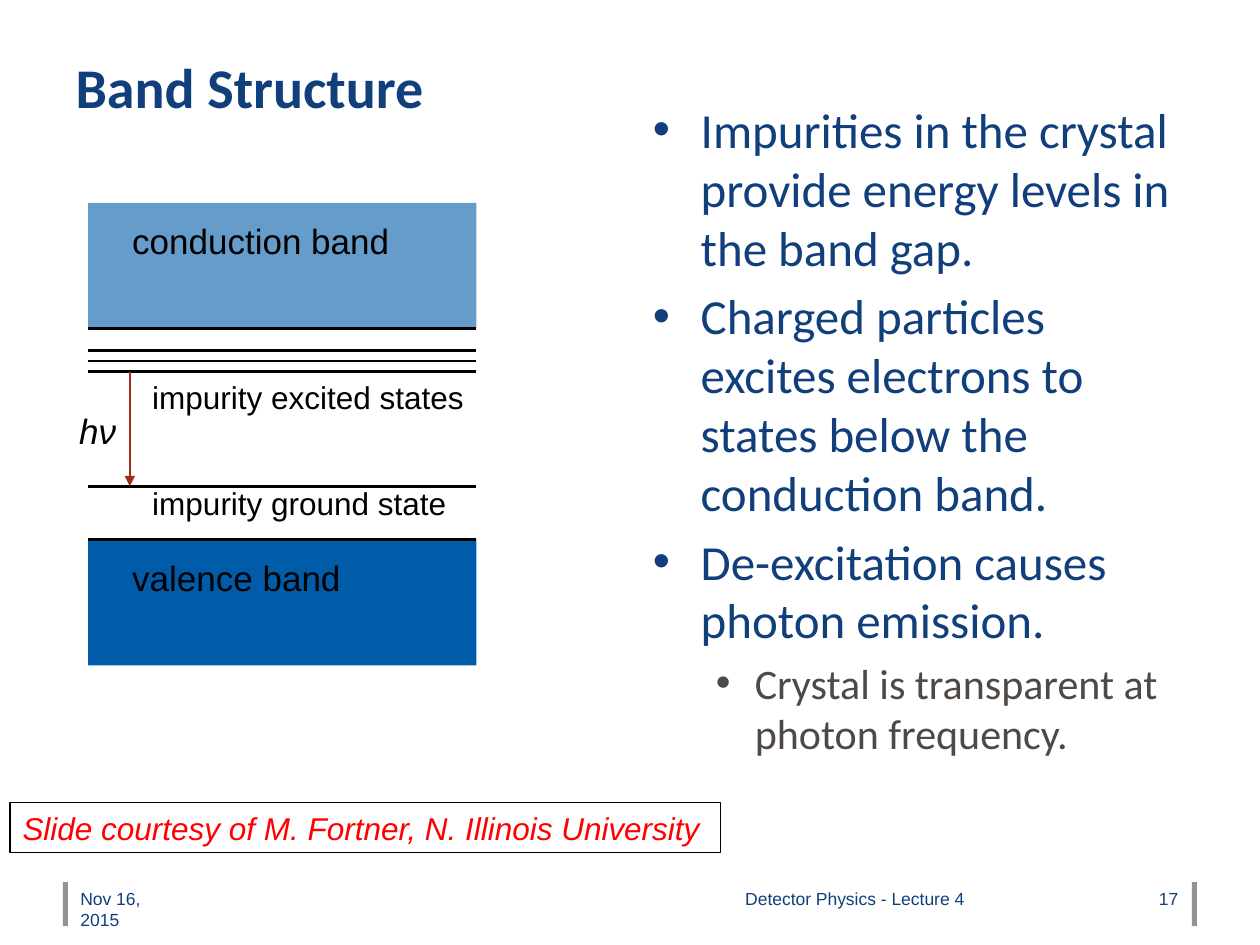
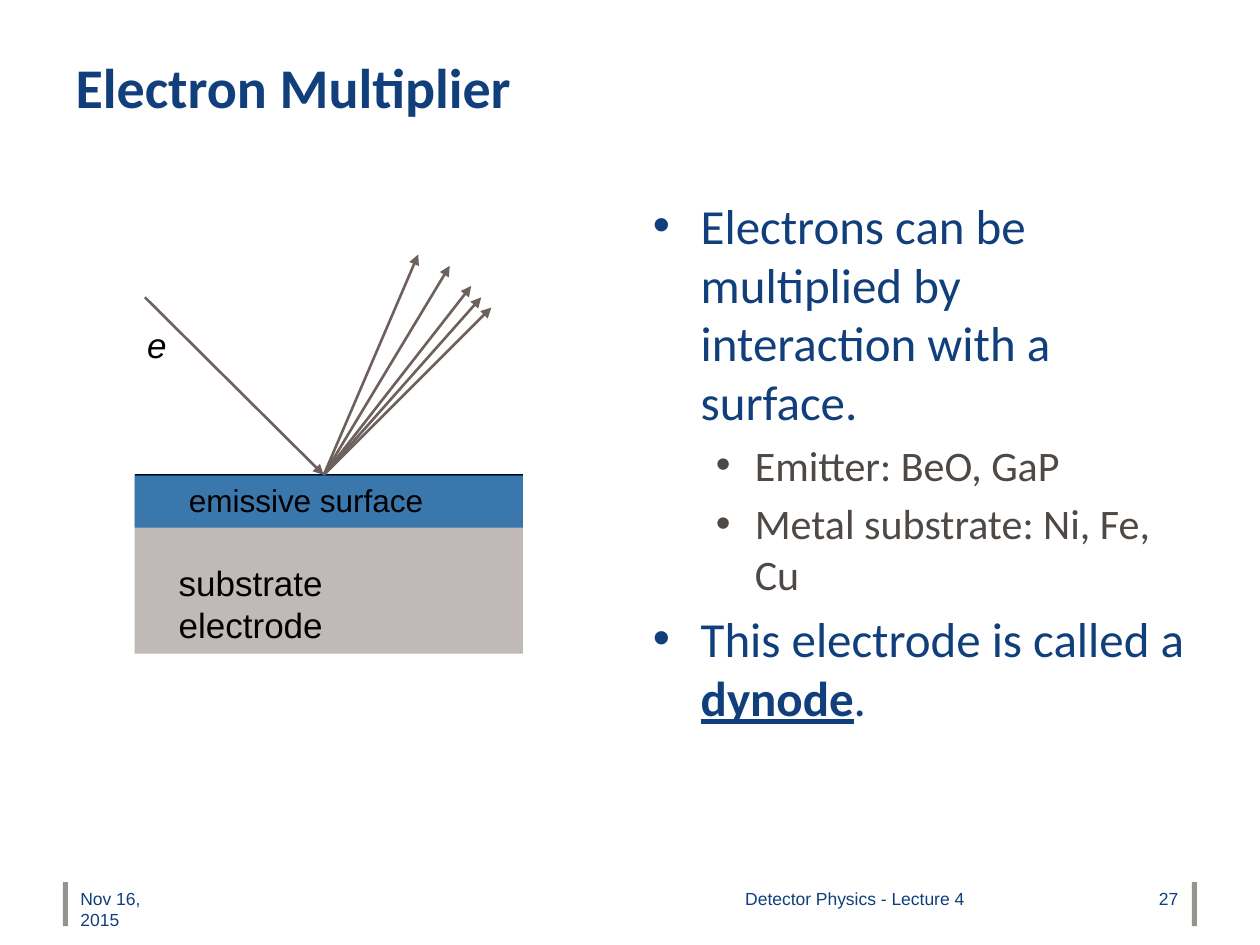
from lxml.etree import SubElement
from pptx import Presentation
from pptx.dml.color import RGBColor
from pptx.enum.shapes import MSO_CONNECTOR, MSO_SHAPE
from pptx.enum.text import MSO_ANCHOR, MSO_AUTO_SIZE, PP_ALIGN
from pptx.oxml.ns import qn
from pptx.util import Pt

COLOURS = {
    "navy": "113F7C",
    "brown": "4F4946",
    "bar": "95938E",
    "blue": "005BA8",
    "substrate": "847470",
    "ray": "6E615D",
    "photon": "A02A17",
    "credit": "FF0000",
    "black": "000000",
}
# Per list level: size, colour, left margin, hanging indent
LEVELS = [(28, "navy", 27.4, 27.4), (24, "brown", 58.3, 22.3)]


class Deck:
    """Holds the presentation, its style and the slide being built."""

    def __init__(self):
        self.presentation = Presentation()
        self.presentation.slide_width = Pt(720)
        self.presentation.slide_height = Pt(540)
        self.slide = None

    def colour(self, name):
        return RGBColor.from_string(COLOURS[name])

    def place(self, shape, left, top, width, height):
        shape.left, shape.top = Pt(left), Pt(top)
        shape.width, shape.height = Pt(width), Pt(height)

    def run(self, paragraph, text, size, colour, font="Arial", bold=None, italic=None, underline=None):
        run = paragraph.add_run()
        run.text = text
        run.font.name, run.font.size = font, Pt(size)
        run.font.color.rgb = self.colour(colour)
        run.font.bold, run.font.italic, run.font.underline = bold, italic, underline

    def new_slide(self, title, number):
        """Start a slide with its title, side bars and footer."""
        self.slide = self.presentation.slides.add_slide(self.presentation.slide_layouts[1])
        self.title(title)
        for left in (36, 681.1):
            self.rectangle(left, 504, 2.9, 25.2, "bar")
        self.label("Nov 16, 2015", 38.9, 504, 62.6, 36, 10, "navy")
        self.label("Detector Physics - Lecture 4", 189.4, 504, 368.6, 36, 10, "navy", align=PP_ALIGN.RIGHT)
        self.label(number, 567.4, 504, 113, 36, 10, "navy", align=PP_ALIGN.RIGHT)

    def title(self, text):
        heading = self.slide.shapes.title
        self.place(heading, 36, 29.5, 648, 47.5)
        frame = heading.text_frame
        frame.auto_size = MSO_AUTO_SIZE.NONE
        frame.vertical_anchor = MSO_ANCHOR.MIDDLE
        paragraph = frame.paragraphs[0]
        paragraph.alignment = PP_ALIGN.LEFT
        paragraph.line_spacing = Pt(30.4)
        self.run(paragraph, text, 32, "navy", "Calibri", bold=True)

    def bullets(self, top, items):
        """Fill the body with (level, *pieces); a piece in a tuple is emphasised."""
        body = self.slide.placeholders[1]
        self.place(body, 365.8, top, 318.2, 374.4)
        frame = body.text_frame
        frame.auto_size = MSO_AUTO_SIZE.NONE
        frame.vertical_anchor = MSO_ANCHOR.TOP
        for index, (level, *pieces) in enumerate(items):
            size, colour, margin, hanging = LEVELS[level]
            paragraph = frame.add_paragraph() if index else frame.paragraphs[0]
            paragraph.level = level
            paragraph.space_before = Pt(0.2 * size if index else 0)
            properties = paragraph._p.get_or_add_pPr()
            properties.set("marL", str(Pt(margin)))
            properties.set("indent", str(-Pt(hanging)))
            SubElement(properties, qn("a:buFont"), typeface="Arial")
            SubElement(properties, qn("a:buChar"), char="•")
            for piece in pieces:
                strong = isinstance(piece, tuple)
                self.run(paragraph, piece[0] if strong else piece, size, colour, "Calibri",
                         bold=strong, underline=strong)

    def rectangle(self, left, top, width, height, fill=None, opacity=100, outline=None):
        box = self.slide.shapes.add_shape(
            MSO_SHAPE.RECTANGLE, Pt(left), Pt(top), Pt(width), Pt(height))
        box.shadow.inherit = False
        if fill:
            box.fill.solid()
            box.fill.fore_color.rgb = self.colour(fill)
            if opacity < 100:
                tint = box._element.spPr.find(qn("a:solidFill"))[0]
                SubElement(tint, qn("a:alpha"), val=str(opacity * 1000))
        else:
            box.fill.background()
        if outline:
            box.line.color.rgb = self.colour(outline)
            box.line.width = Pt(0.75)
        else:
            box.line.fill.background()
        return box

    def label(self, text, left, top, width, height, size=20, colour="black", italic=None,
              align=PP_ALIGN.LEFT):
        box = self.slide.shapes.add_textbox(Pt(left), Pt(top), Pt(width), Pt(height))
        self.set_text(box, text, size, colour, italic, align)

    def set_text(self, box, text, size, colour, italic=None, align=PP_ALIGN.LEFT):
        frame = box.text_frame
        frame.word_wrap = True
        frame.vertical_anchor = MSO_ANCHOR.TOP
        frame.paragraphs[0].alignment = align
        self.run(frame.paragraphs[0], text, size, colour, italic=italic)

    def line(self, start, end, colour="black", arrow=False):
        connector = self.slide.shapes.add_connector(
            MSO_CONNECTOR.STRAIGHT, *(Pt(value) for value in (*start, *end)))
        connector.line.color.rgb = self.colour(colour)
        connector.line.width = Pt(1.5)
        properties = connector._element.spPr
        if arrow:
            SubElement(properties.find(qn("a:ln")), qn("a:tailEnd"), type="triangle")
        SubElement(properties, qn("a:effectLst"))

    def level(self, left, width, y):
        """Draw a horizontal line across a diagram."""
        self.line((left, y), (left + width, y))


def band_structure(deck):
    deck.new_slide("Band Structure", "17")
    deck.bullets(53.3, [
        (0, "Impurities in the crystal provide energy levels in the band gap."),
        (0, "Charged particles excites electrons to states below the conduction band."),
        (0, "De-excitation causes photon emission."),
        (1, "Crystal is transparent at photon frequency."),
    ])
    left, width, band_height = 50.4, 221.8, 72
    conduction_top, valence_top = 115.9, 308.2
    excited_states = [200.2 + 6.1 * step for step in range(3)]
    ground_state = 277.9

    deck.rectangle(left, conduction_top, width, band_height, "blue", 60)
    deck.rectangle(left, valence_top, width, band_height, "blue")
    for y in (conduction_top + band_height, valence_top, *excited_states, ground_state):
        deck.level(left, width, y)
    for name, top in (("conduction band", conduction_top), ("valence band", valence_top)):
        deck.label(name, 68.4, top + 6, 174.2, 31)
    deck.line((74.2, excited_states[-1]), (74.2, ground_state), "photon", arrow=True)
    deck.label("hν", 38.2, 230.4, 36, 31, italic=True)
    deck.label("impurity excited states", 79.9, 212.4, 203.8, 28.8, 18)
    deck.label("impurity ground state", 79.9, 272.9, 215.3, 28.8, 18)
    credit = deck.rectangle(5.8, 458.6, 406.1, 28.8, outline="black")
    deck.set_text(credit, "Slide courtesy of M. Fortner, N. Illinois University", 18, "credit", italic=True)


def electron_multiplier(deck):
    deck.new_slide("Electron Multiplier", "27")
    deck.bullets(108, [
        (0, "Electrons can be multiplied by interaction with a surface."),
        (1, "Emitter: BeO, GaP"),
        (1, "Metal substrate: Ni, Fe, Cu"),
        (0, "This electrode is called a ", ("dynode",), "."),
    ])
    left, width, surface = 77, 221.8, 271.4
    impact = (185, surface)
    emitted = [(257, 151.9), (239, 145.4), (280.8, 175.7), (269.3, 163.4), (275, 169.9)]

    deck.rectangle(left, surface, width, 102.2, "substrate", 50)
    deck.level(left, width, surface)
    deck.label("substrate electrode", 95, 317.5, 174.2, 55)
    deck.label("e", left, 181.4, 36, 31, italic=True)
    deck.line((82.8, 169.9), impact, "ray", arrow=True)
    for end in emitted:
        deck.line(impact, end, "ray", arrow=True)
    deck.rectangle(left, surface, width, 30.2, "blue", 70)
    deck.label("emissive surface", 100.8, surface, 174.2, 28.8, 18)


def main():
    deck = Deck()
    band_structure(deck)
    electron_multiplier(deck)
    deck.presentation.save("out.pptx")


if __name__ == "__main__":
    main()
